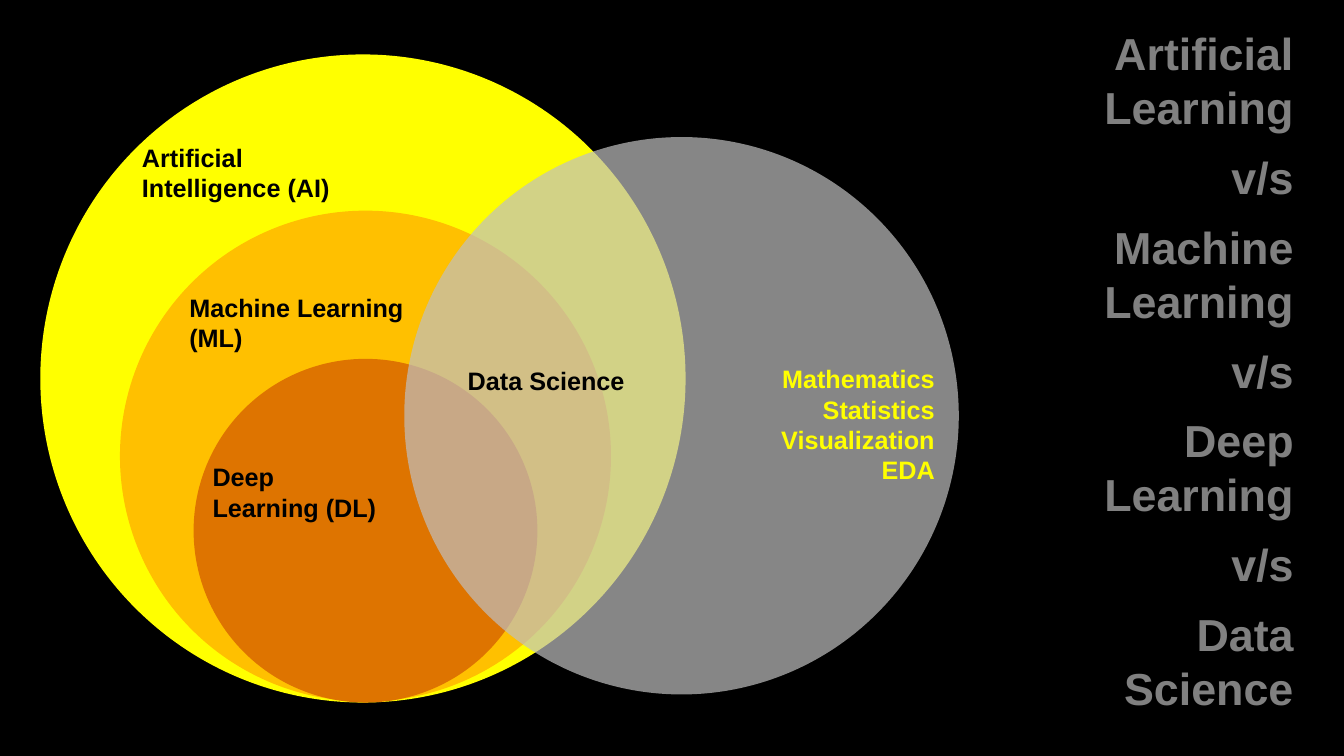
import pptx
import pptx.dml.color
import pptx.enum.shapes
import pptx.enum.text
import pptx.util
from lxml import etree
from pptx.oxml.ns import qn
from pptx.util import Inches

COLORS = {
    "background": "000000",
    "ai": "FFFF00",
    "ml": "FFC000",
    "dl": "DE7400",
    "data_science": "BFBFBF",
    "label": "000000",
    "skills": "FFFF00",
    "title": "808080",
}
LEFT = pptx.enum.text.PP_ALIGN.LEFT
RIGHT = pptx.enum.text.PP_ALIGN.RIGHT


def color(name):
    """Return the named colour."""
    return pptx.dml.color.RGBColor.from_string(COLORS[name])


def add_circle(slide, name, left, top, width, height, opacity=100):
    """Add a borderless filled ellipse with an opacity in percent."""
    circle = slide.shapes.add_shape(
        pptx.enum.shapes.MSO_SHAPE.OVAL,
        Inches(left), Inches(top), Inches(width), Inches(height))
    circle.shadow.inherit = False
    circle.line.fill.background()
    circle.fill.solid()
    circle.fill.fore_color.rgb = color(name)
    if opacity < 100:
        fill_color = circle.fill._xPr.find(qn("a:solidFill"))[0]
        etree.SubElement(fill_color, qn("a:alpha"), val=str(opacity * 1000))


def add_text(slide, lines, left, top, width, height,
             color_name="label", size=18, alignment=LEFT, gap=0):
    """Add a bold text box with one paragraph per line and a gap in points."""
    box = slide.shapes.add_textbox(
        Inches(left), Inches(top), Inches(width), Inches(height))
    frame = box.text_frame
    frame.word_wrap = True
    frame.auto_size = pptx.enum.text.MSO_AUTO_SIZE.SHAPE_TO_FIT_TEXT
    for index, line in enumerate(lines):
        paragraph = frame.add_paragraph() if index else frame.paragraphs[0]
        paragraph.text = line
        paragraph.alignment = alignment
        if index and gap:
            paragraph.space_before = pptx.util.Pt(gap)
        paragraph.font.name = "Arial"
        paragraph.font.size = pptx.util.Pt(size)
        paragraph.font.bold = True
        paragraph.font.color.rgb = color(color_name)


def main():
    """Build the Venn diagram slide and save it."""
    presentation = pptx.Presentation()
    presentation.slide_width = Inches(13.33)
    presentation.slide_height = Inches(7.5)
    slide = presentation.slides.add_slide(presentation.slide_layouts[6])
    slide.background.fill.solid()
    slide.background.fill.fore_color.rgb = color("background")

    add_circle(slide, "ai", 0.4, 0.54, 6.4, 6.43)
    add_circle(slide, "ml", 1.19, 2.09, 4.87, 4.87)
    add_circle(slide, "dl", 1.92, 3.56, 3.41, 3.41)
    add_circle(slide, "data_science", 4.01, 1.36, 5.5, 5.53, opacity=70)

    add_text(slide, ["Artificial Intelligence (AI)"], 1.31, 1.36, 2.51, 0.71)
    add_text(slide, ["Machine Learning (ML)"], 1.78, 2.85, 2.33, 0.71)
    add_text(slide, ["Deep Learning (DL)"], 2.01, 4.53, 1.87, 0.71)
    add_text(slide, ["Data Science"], 4.54, 3.58, 1.92, 0.4)
    add_text(slide, ["Mathematics", "Statistics", "Visualization", "EDA"],
             6.91, 3.56, 2.46, 1.31, "skills", alignment=RIGHT)
    add_text(slide, ["Artificial Learning", "v/s", "Machine Learning", "v/s",
                     "Deep Learning", "v/s", "Data Science"],
             10.06, 0.21, 2.87, 7.03, "title", 32, RIGHT, gap=11.5)
    presentation.save("out.pptx")


if __name__ == "__main__":
    main()
